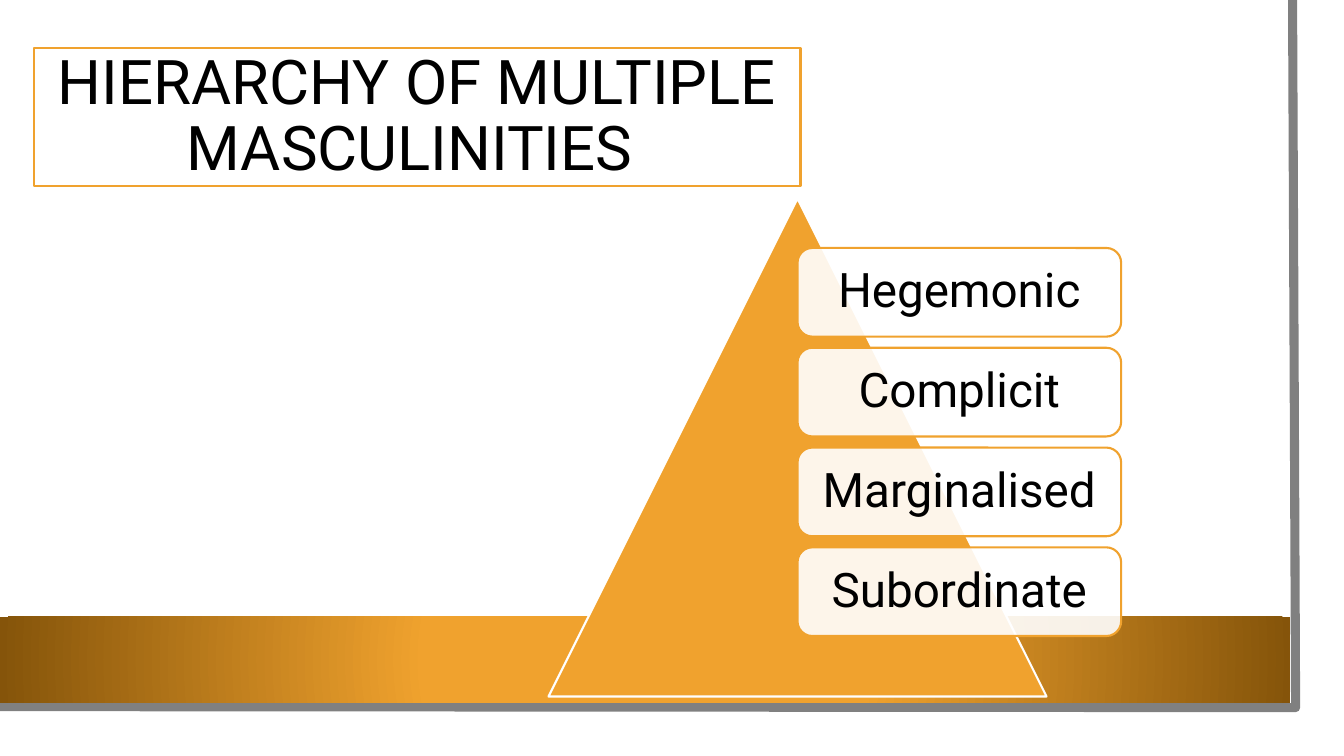
"""Build the slide on the hierarchy of multiple masculinities."""
from lxml import etree
from pptx import Presentation
from pptx.dml.color import RGBColor
from pptx.enum.shapes import MSO_SHAPE
from pptx.enum.text import MSO_ANCHOR, MSO_AUTO_SIZE, PP_ALIGN
from pptx.oxml import parse_xml
from pptx.oxml.ns import nsdecls, qn
from pptx.util import Inches, Pt

RECT = MSO_SHAPE.RECTANGLE
ROUND = MSO_SHAPE.ROUNDED_RECTANGLE
PEAK = MSO_SHAPE.ISOSCELES_TRIANGLE
MIDDLE = MSO_ANCHOR.MIDDLE
CENTER = PP_ALIGN.CENTER
FIXED = MSO_AUTO_SIZE.NONE

TITLE = "HIERARCHY OF MULTIPLE MASCULINITIES "
LEVELS = ["Hegemonic", "Complicit", "Marginalised", "Subordinate"]
FONT = "Roboto"
AMBER, BROWN, GREY = "F0A22E", "85540A", "808080"
WHITE, BLACK = "FFFFFF", "000000"

EDGE = [(12.82, 0), (12.85, 7.02), (-0.03, 7.01)]
BAND = (0, 6.12, 12.8, 0.85)
HEAD = (0.34, 0.48, 7.6, 1.37)
PYRAMID = (5.44, 1.97, 4.94, 4.94)
CARD = (7.91, 2.46, 3.21, 0.88)
STEP = 0.99
INSET = 0.18
OPACITY = 90
STOPS = [(0, AMBER), (34, AMBER), (100, BROWN)]


def color(code):
    return RGBColor.from_string(code)


def paint(shape, fill, line, width=1.5):
    if fill:
        shape.fill.solid()
        shape.fill.fore_color.rgb = color(fill)
    else:
        shape.fill.background()
    if line:
        shape.line.color.rgb = color(line)
        shape.line.width = Pt(width)
    else:
        shape.line.fill.background()


def add(slide, kind, box, fill, line=None):
    shape = slide.shapes.add_shape(kind, *map(Inches, box))
    shape.shadow.inherit = False
    paint(shape, fill, line)
    return shape


def write(shape, text, size, inset=None):
    frame = shape.text_frame
    style = {"word_wrap": True, "auto_size": FIXED, "vertical_anchor": MIDDLE}
    if inset is not None:
        for side in ("left", "right", "top", "bottom"):
            style[f"margin_{side}"] = Inches(inset)
    for name, value in style.items():
        setattr(frame, name, value)
    frame.text = text
    para = frame.paragraphs[0]
    para.alignment, para.line_spacing = CENTER, 0.9
    font = para.runs[0].font
    for name, value in {"name": FONT, "size": Pt(size)}.items():
        setattr(font, name, value)
    font.color.rgb = color(BLACK)


def glow(shape):
    stops = "".join(
        f'<a:gs pos="{pos * 1000}"><a:srgbClr val="{code}"/></a:gs>'
        for pos, code in STOPS)
    grad = parse_xml(
        f'<a:gradFill {nsdecls("a")}><a:gsLst>{stops}</a:gsLst>'
        '<a:path path="circle"><a:fillToRect l="50000" t="50000" '
        'r="50000" b="50000"/></a:path></a:gradFill>')
    solid = shape.fill._xPr.find(qn("a:solidFill"))
    solid.getparent().replace(solid, grad)


def fade(shape, percent):
    tint = shape.fill._xPr.find(qn("a:solidFill"))[0]
    etree.SubElement(tint, qn("a:alpha")).set("val", str(percent * 1000))


def main():
    deck = Presentation()
    deck.slide_width, deck.slide_height = Inches(13.33), Inches(7.5)
    slide = deck.slides.add_slide(deck.slide_layouts[5])

    points = [(Inches(x), Inches(y)) for x, y in EDGE]
    path = slide.shapes.build_freeform(*points[0])
    path.add_line_segments(points[1:], close=False)
    edge = path.convert_to_shape()
    edge.shadow.inherit = False
    paint(edge, None, GREY, 6.5)

    glow(add(slide, RECT, BAND, AMBER))

    title = slide.shapes.title
    sides = ("left", "top", "width", "height")
    for name, value in zip(sides, HEAD):
        setattr(title, name, Inches(value))
    paint(title, WHITE, AMBER)
    write(title, TITLE, 44)

    add(slide, PEAK, PYRAMID, AMBER, WHITE)
    left, top, width, height = CARD
    for row, level in enumerate(LEVELS):
        box = (left, top + row * STEP, width, height)
        card = add(slide, ROUND, box, WHITE, AMBER)
        fade(card, OPACITY)
        write(card, level, 34, INSET)

    deck.save("out.pptx")


if __name__ == "__main__":
    main()
